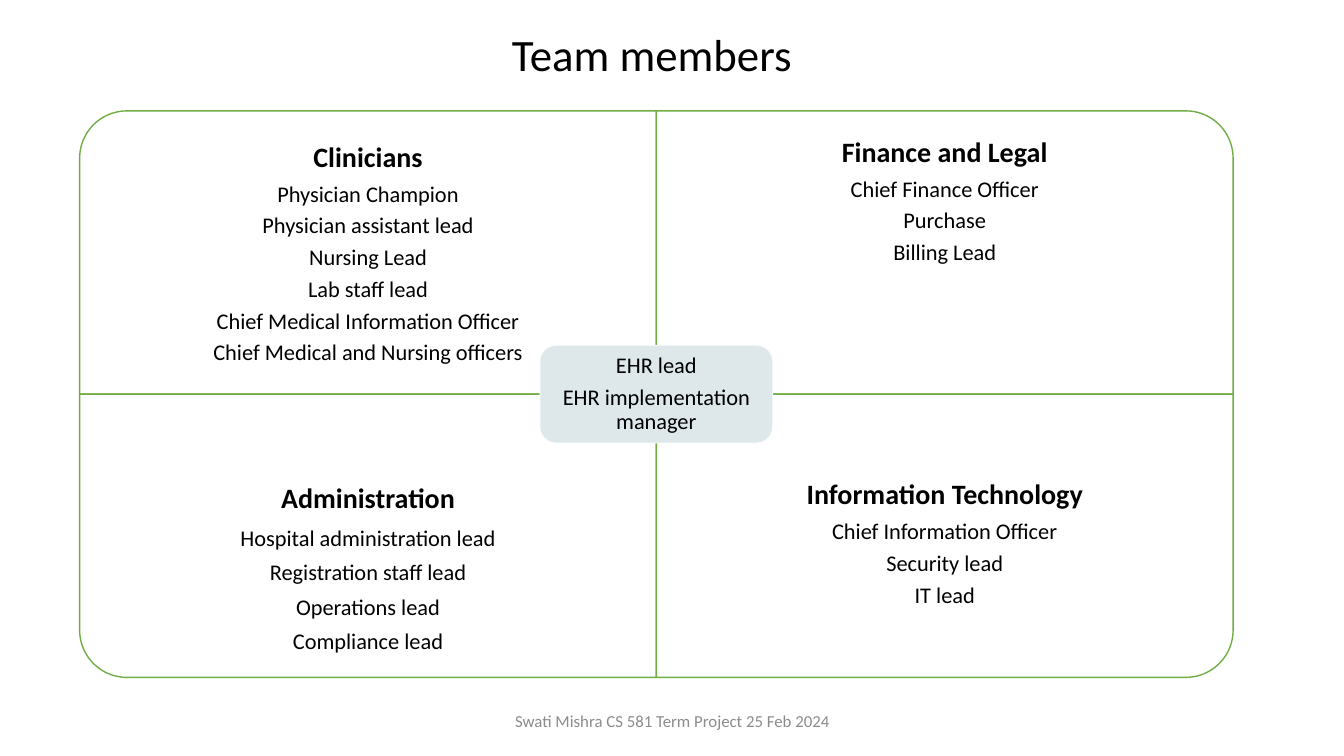
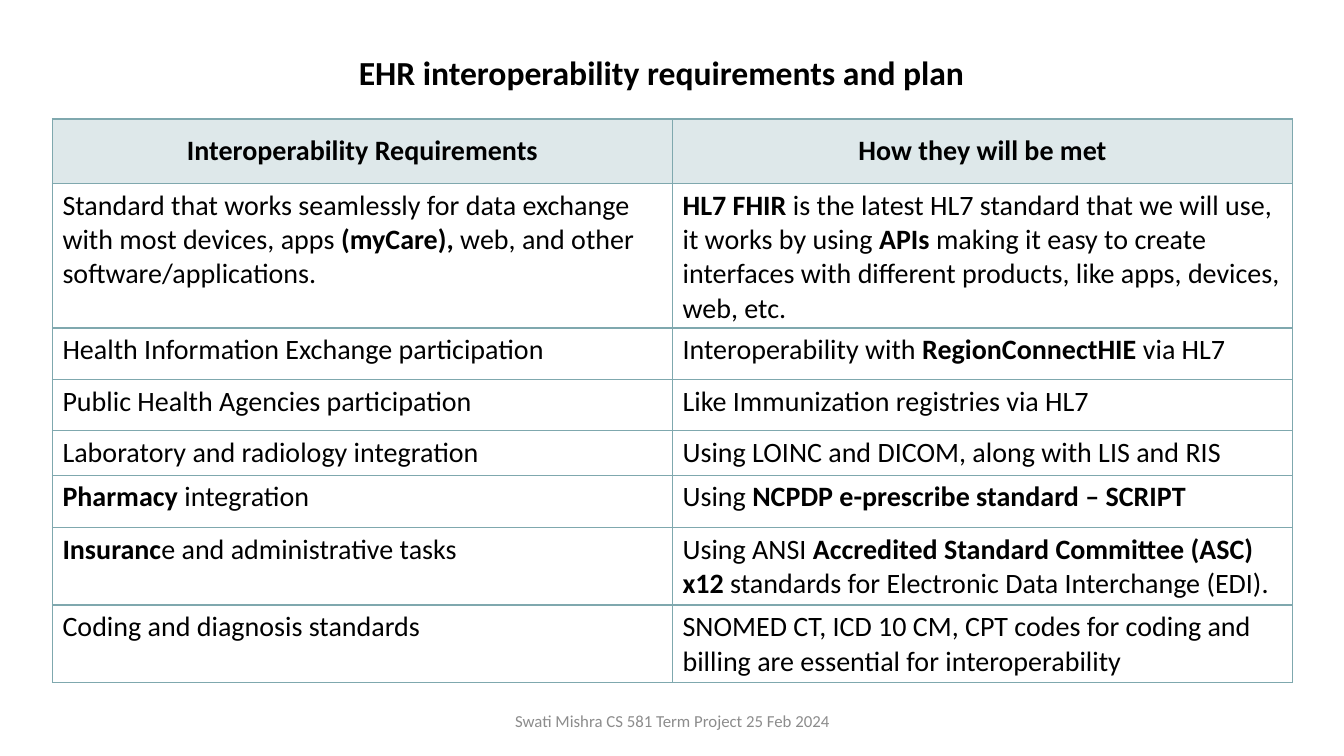
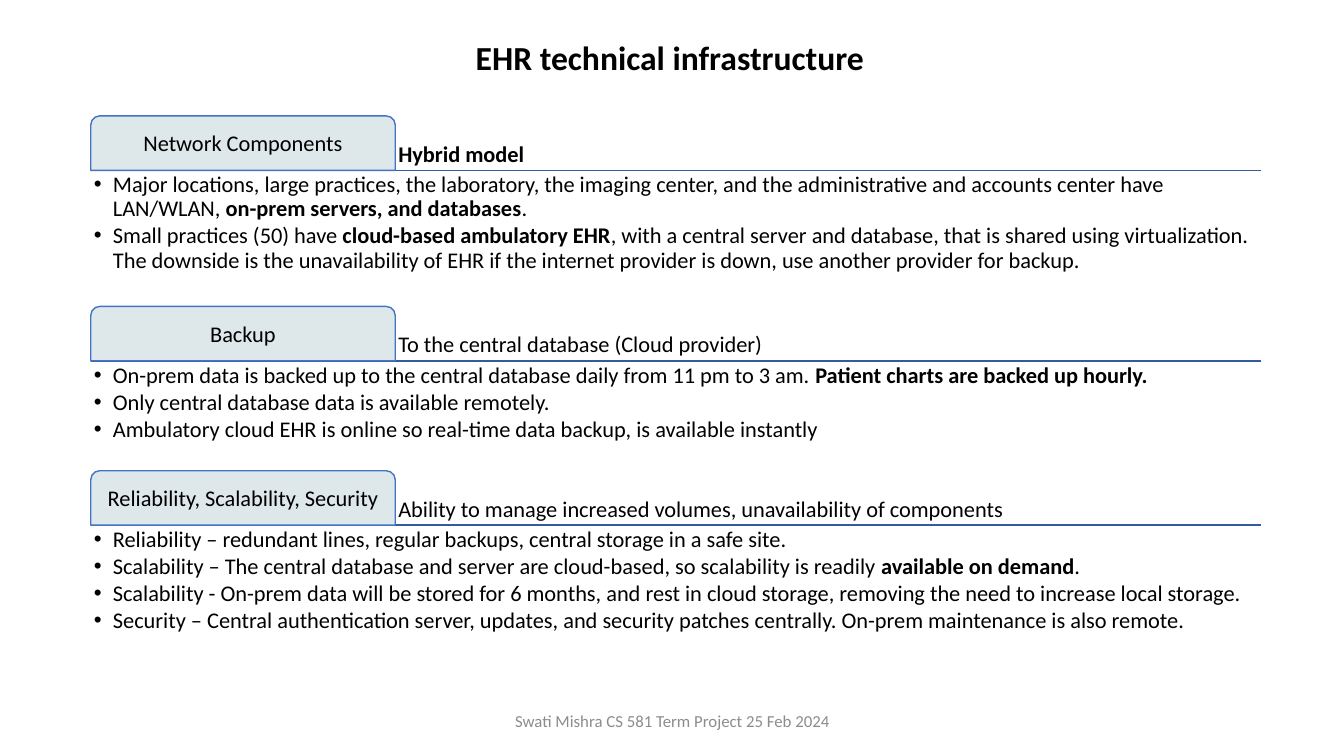
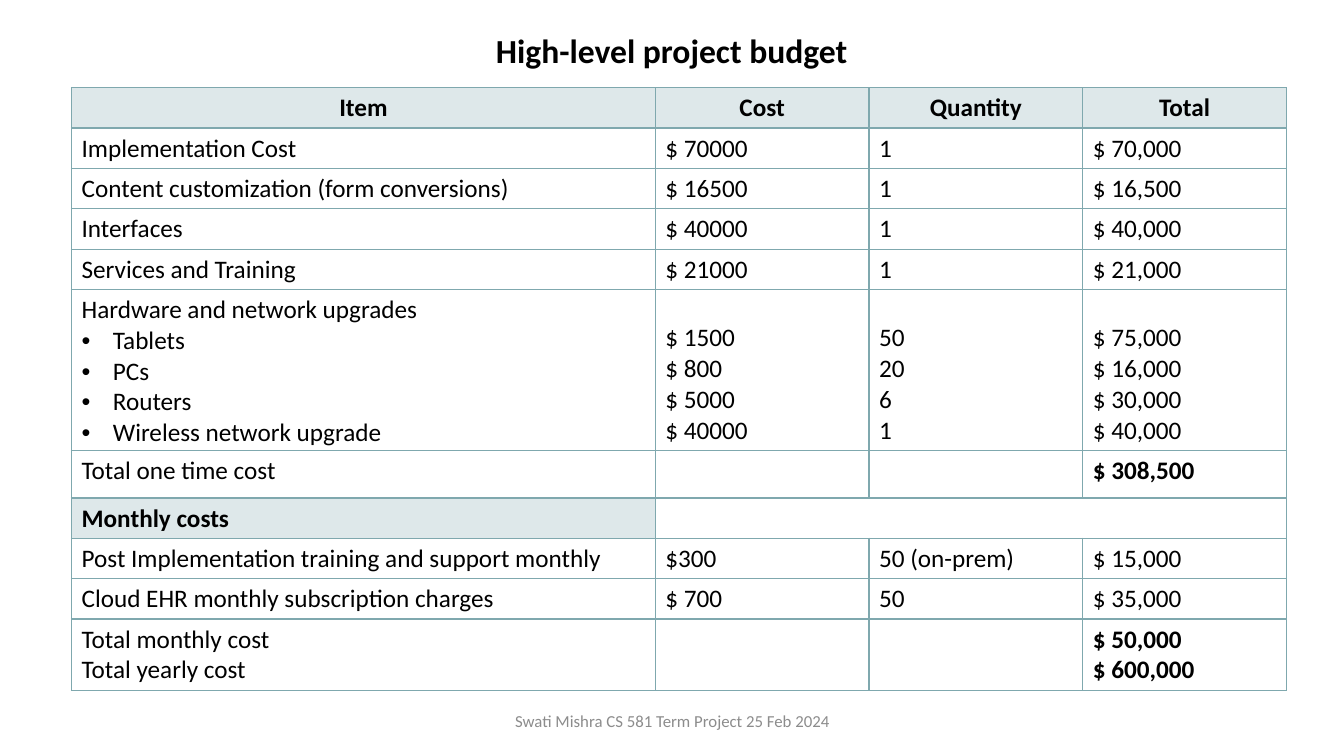
from dataclasses import dataclass

from lxml import etree
from pptx import Presentation
from pptx.dml.color import RGBColor
from pptx.enum.shapes import MSO_CONNECTOR, MSO_SHAPE
from pptx.enum.text import MSO_ANCHOR, PP_ALIGN
from pptx.oxml.ns import qn
from pptx.util import Inches, Pt

LEFT, CENTER = PP_ALIGN.LEFT, PP_ALIGN.CENTER
TOP, MIDDLE, BOTTOM = MSO_ANCHOR.TOP, MSO_ANCHOR.MIDDLE, MSO_ANCHOR.BOTTOM
ONE_ROUND = MSO_SHAPE.ROUND_1_RECTANGLE
TWO_ROUND = MSO_SHAPE.ROUND_2_SAME_RECTANGLE
ROUNDED = MSO_SHAPE.ROUNDED_RECTANGLE
STRAIGHT = MSO_CONNECTOR.STRAIGHT


@dataclass(frozen=True)
class Theme:
    font: str = "Calibri"
    ink: str = "000000"
    gray: str = "8C8C8C"
    white: str = "FFFFFF"
    pale: str = "DEE8EA"
    teal: str = "7FA8AE"
    green: str = "70AD47"
    blue: str = "4472C4"
    navy: str = "365B9D"
    big: int = 32
    title: int = 24
    head: int = 20
    cell: int = 18
    body: int = 16
    foot: int = 12
    tight: float = 0.9
    wide: float = 0.34
    close: float = 0.13


T = Theme()
WIDTH, HEIGHT = 13.33, 7.5

# Text between ** marks is bold; a line that starts with "• " is a bullet.
FOOTER = "Swati Mishra CS 581 Term Project 25 Feb 2024"

# heading, members, text top, line spacing, turn of the panel
TEAMS = [
    ("Clinicians", ["Physician Champion", "Physician assistant lead", "Nursing Lead",
                    "Lab staff lead", "Chief Medical Information Officer",
                    "Chief Medical and Nursing officers"], 1.26, T.tight, 270),
    ("Finance and Legal", ["Chief Finance Officer", "Purchase", "Billing Lead"],
     1.21, T.tight, 0),
    ("Administration", ["Hospital administration lead", "Registration staff lead",
                        "Operations lead", "Compliance lead"], 4.61, 1, 180),
    ("Information Technology", ["Chief Information Officer", "Security lead", "IT lead"],
     4.61, T.tight, 90),
]
LEADS = "EHR lead\nEHR implementation manager"

NEEDS = [
    ("Interoperability Requirements", "How they will be met"),
    ("Standard that works seamlessly for data exchange with most devices, apps "
     "**(myCare),** web, and other software/applications.",
     "**HL7 FHIR** is the latest HL7 standard that we will use, it works by using **APIs** "
     "making it easy to create interfaces with different products, like apps, devices, "
     "web, etc."),
    ("Health Information Exchange participation",
     "Interoperability with **RegionConnectHIE** via HL7"),
    ("Public Health Agencies participation", "Like Immunization registries via HL7"),
    ("Laboratory and radiology integration",
     "Using LOINC and DICOM, along with LIS and RIS"),
    ("**Pharmacy** integration", "Using **NCPDP e-prescribe standard – SCRIPT**"),
    ("**Insuranc**e and administrative tasks",
     "Using ANSI **Accredited Standard Committee (ASC) x12** standards for Electronic "
     "Data Interchange (EDI)."),
    ("Coding and diagnosis standards",
     "SNOMED CT, ICD 10 CM, CPT codes for coding and billing are essential for "
     "interoperability"),
]
NEED_ROWS = [0.64, 1.43, 0.51, 0.51, 0.44, 0.52, 0.77, 0.77]

# tab, summary, bullets, height of the bullets
PARTS = [
    ("Network Components", "**Hybrid model**", [
        "• Major locations, large practices, the laboratory, the imaging center, and the "
        "administrative and accounts center have LAN/WLAN, "
        "**on-prem servers, and databases**.",
        "• Small practices (50) have **cloud-based ambulatory EHR**, with a central server "
        "and database, that is shared using virtualization. The downside is the "
        "unavailability of EHR if the internet provider is down, use another provider "
        "for backup."], 1.33),
    ("Backup", "To the central database (Cloud provider)", [
        "• On-prem data is backed up to the central database daily from 11 pm to 3 am. "
        "**Patient charts are backed up hourly.**",
        "• Only central database data is available remotely.",
        "• Ambulatory cloud EHR is online so real-time data backup, is available "
        "instantly"], 1.07),
    ("Reliability, Scalability, Security",
     "Ability to manage increased volumes, unavailability of components", [
         "• Reliability – redundant lines, regular backups, central storage in a safe site.",
         "• Scalability – The central database and server are cloud-based, so scalability "
         "is readily **available on demand**.",
         "• Scalability - On-prem data will be stored for 6 months, and rest in cloud "
         "storage, removing the need to increase local storage.",
         "• Security – Central authentication server, updates, and security patches "
         "centrally. On-prem maintenance is also remote."], 1.68),
]

ONCE = [
    ("Item", "Cost", "Quantity", "Total"),
    ("Implementation Cost", "$ 70000", "1", "$ 70,000"),
    ("Content customization (form conversions)", "$ 16500", "1", "$ 16,500"),
    ("Interfaces", "$ 40000", "1", "$ 40,000"),
    ("Services and Training", "$ 21000", "1", "$ 21,000"),
    ("Hardware and network upgrades\n• Tablets\n• PCs\n• Routers\n• Wireless network upgrade",
     "$ 1500\n$ 800\n$ 5000\n$ 40000", "50\n20\n6\n1",
     "$ 75,000\n$ 16,000\n$ 30,000\n$ 40,000"),
    ("Total one time cost", "", "", "**$ 308,500**"),
]
ONCE_ROWS = [0.4] * 5 + [1.59, 0.46]
MONTHLY = [
    ("**Monthly costs**", "", "", ""),
    ("Post Implementation training and support monthly", "$300", "50 (on-prem)", "$ 15,000"),
    ("Cloud EHR monthly subscription charges", "$ 700", "50", "$ 35,000"),
    ("Total monthly cost\nTotal yearly cost", "", "", "**$ 50,000**\n**$ 600,000**"),
]
MONTHLY_ROWS = [0.4, 0.4, 0.4, 0.71]
BUDGET_COLS = [5.79, 2.12, 2.12, 2.02]


def rgb(code):
    return RGBColor.from_string(code)


def write(frame, lines, size=T.body, color=T.ink, bold=False, align=LEFT, anchor=TOP,
          inset=None, space=1, after=0, indent=0.19):
    """Fill a text frame; after is a share of the type size of each line."""
    if inset is not None:
        frame.margin_left = frame.margin_right = Inches(inset)
        frame.margin_top = frame.margin_bottom = Inches(inset)
    frame.word_wrap = True
    frame.vertical_anchor = anchor
    for i, line in enumerate(lines.split("\n")):
        para = frame.paragraphs[0] if i == 0 else frame.add_paragraph()
        high = size[min(i, len(size) - 1)] if isinstance(size, tuple) else size
        if line.startswith("• "):
            line = line[2:]
            props = para._p.get_or_add_pPr()
            props.set("marL", str(Inches(indent)))
            props.set("indent", str(-Inches(indent)))
            etree.SubElement(props, qn("a:buFont")).set("typeface", "Arial")
            etree.SubElement(props, qn("a:buChar")).set("char", "•")
        para.alignment = align
        para.line_spacing = space
        para.space_after = Pt(round(high * after, 1))
        for j, piece in enumerate(line.split("**")):
            if piece:
                run = para.add_run()
                run.text = piece
                font = run.font
                font.name, font.size = T.font, Pt(high)
                font.bold = bold or j % 2 == 1
                font.color.rgb = rgb(color)


def label(slide, box, lines, **style):
    frame = slide.shapes.add_textbox(*map(Inches, box)).text_frame
    write(frame, lines, **style)


def block(slide, kind, box, fill, line, weight=1):
    shape = slide.shapes.add_shape(kind, *map(Inches, box))
    shape.shadow.inherit = False
    shape.fill.solid()
    shape.fill.fore_color.rgb = rgb(fill)
    shape.line.color.rgb = rgb(line)
    shape.line.width = Pt(weight)
    return shape


def rule(slide, left, right, y):
    line = slide.shapes.add_connector(STRAIGHT, *map(Inches, (left, y, right, y)))
    line.line.color.rgb = rgb(T.navy)
    line.line.width = Pt(1)
    etree.SubElement(line._element.spPr, qn("a:effectLst"))


def border(cell):
    props = cell._tc.get_or_add_tcPr()
    for i, side in enumerate(("a:lnL", "a:lnR", "a:lnT", "a:lnB")):
        edge = etree.Element(qn(side), w=str(Pt(1)))
        fill = etree.SubElement(edge, qn("a:solidFill"))
        etree.SubElement(fill, qn("a:srgbClr"), val=T.teal)
        props.insert(i, edge)


def grid(slide, left, top, cols, rows, data, size, header=True):
    """Add a table; a line count below that of its row puts a cell's text at the bottom."""
    frame = slide.shapes.add_table(len(rows), len(cols), *map(
        Inches, (left, top, sum(cols), sum(rows))))
    table = frame.table
    table.first_row = table.horz_banding = False
    for col, wide in zip(table.columns, cols):
        col.width = Inches(wide)
    for r, (row, high, items) in enumerate(zip(table.rows, rows, data)):
        row.height = Inches(high)
        most = items[0].count("\n")
        for cell, item in zip(row.cells, items):
            top_row = header and r == 0
            short = 0 < item.count("\n") < most
            cell.fill.solid()
            cell.fill.fore_color.rgb = rgb(T.pale if top_row else T.white)
            write(cell.text_frame, item, size=size, bold=top_row, indent=0.31,
                  align=CENTER if top_row else LEFT)
            cell.vertical_anchor = MIDDLE if top_row else BOTTOM if short else TOP
            border(cell)
    return table


def page(deck, title, box, size=T.title, bold=True):
    slide = deck.slides.add_slide(deck.slide_layouts[6])
    label(slide, (4.42, 6.95, 4.5, 0.4), FOOTER, size=T.foot, color=T.gray,
          align=CENTER, anchor=MIDDLE)
    label(slide, box, title, size=size, bold=bold)
    return slide


def team(deck):
    slide = page(deck, "Team members", (4.98, 0.22, 3.04, 0.64), T.big, False)
    left, top, wide, high = 0.79, 1.1, 5.72, 2.81
    for i, (head, people, start, space, turn) in enumerate(TEAMS):
        x, y = left + i % 2 * wide, top + i // 2 * high
        w, h = (high, wide) if turn % 180 else (wide, high)
        panel = block(slide, ONE_ROUND, (x + (wide - w) / 2, y + (high - h) / 2, w, h),
                      T.white, T.green)
        panel.rotation = turn
        label(slide, (x, start, wide, 2.1), "\n".join([head and f"**{head}**", *people]),
              size=(T.head, T.body), align=CENTER, inset=0.16, space=space, after=T.wide)
    w, h = 2.31, 0.97
    hub = block(slide, ROUNDED, (left + wide - w / 2, top + high - h / 2, w, h),
                T.pale, T.white, 0.5)
    write(hub.text_frame, LEADS, align=CENTER, anchor=MIDDLE, inset=0.07,
          space=T.tight, after=T.wide)


def needs(deck):
    slide = page(deck, "EHR interoperability requirements and plan",
                 (3.46, 0.47, 6.41, 0.5))
    grid(slide, 0.52, 1.18, [6.15, 6.15], NEED_ROWS, NEEDS, T.head)


def setup(deck):
    slide = page(deck, "EHR technical infrastructure", (4.62, 0.32, 4.1, 0.5))
    left, top, wide, tab, high, gap = 0.9, 1.15, 11.61, 3.02, 0.54, 0.02
    style = dict(inset=0.03, space=T.tight)
    for name, note, points, tall in PARTS:
        base = top + high
        rule(slide, left, left + wide, base)
        label(slide, (left + tab, top, wide - tab, high), note, anchor=BOTTOM,
              after=T.wide, **style)
        shape = block(slide, TWO_ROUND, (left, top, tab, high), T.pale, T.blue)
        write(shape.text_frame, name, align=CENTER, anchor=MIDDLE, **style)
        label(slide, (left, base, wide, tall), "\n".join(points), after=T.close, **style)
        top = base + tall + gap


def budget(deck):
    slide = page(deck, "High-level project budget", (4.82, 0.25, 3.91, 0.5))
    left, top = 0.71, 0.87
    grid(slide, left, top, BUDGET_COLS, ONCE_ROWS, ONCE, T.cell)
    table = grid(slide, left, 4.94, BUDGET_COLS, MONTHLY_ROWS, MONTHLY, T.cell, header=False)
    table.cell(0, 0).fill.fore_color.rgb = rgb(T.pale)
    table.cell(0, 1).merge(table.cell(0, 3))


def main():
    deck = Presentation()
    deck.slide_width, deck.slide_height = Inches(WIDTH), Inches(HEIGHT)
    for build in (team, needs, setup, budget):
        build(deck)
    deck.save("out.pptx")


if __name__ == "__main__":
    main()
